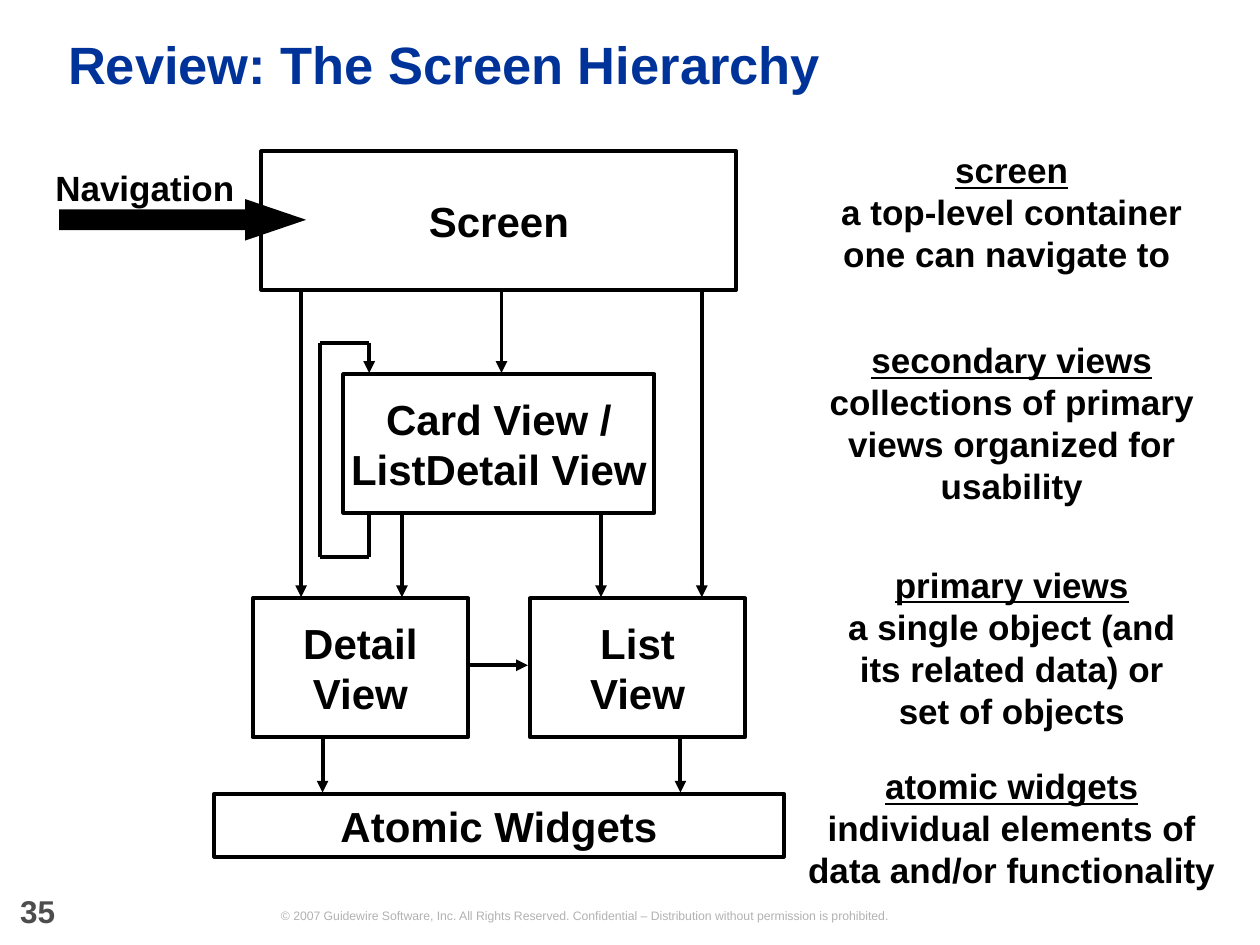
import itertools

import pptx
import pptx.dml.color
import pptx.enum.shapes
import pptx.enum.text
import pptx.oxml
import pptx.oxml.ns
import pptx.util

RGBColor = pptx.dml.color.RGBColor
Inches, Pt = pptx.util.Inches, pptx.util.Pt
ALIGN = pptx.enum.text.PP_ALIGN
ANCHOR = pptx.enum.text.MSO_ANCHOR
SHAPE = pptx.enum.shapes.MSO_SHAPE

BLACK = RGBColor(0x00, 0x00, 0x00)
NAVY = RGBColor(0x00, 0x33, 0x99)
SLATE = RGBColor(0x4D, 0x4D, 0x4D)
SILVER = RGBColor(0xB2, 0xB2, 0xB2)

# Content
TITLE = "Review: The Screen Hierarchy"
PAGE_NUMBER = "35"
COPYRIGHT = ("© 2007 Guidewire Software, Inc. All Rights Reserved. "
             "Confidential – Distribution without permission is prohibited.")
NAVIGATION = "Navigation"

# Rows of the hierarchy: top and height
ROWS = {"screen": (1.2, 1.1), "secondary": (2.97, 1.1),
        "primary": (4.75, 1.1), "atomic": (6.3, 0.5)}
BOX_AXIS, FLOW_AXIS, NOTE_AXIS = 3.96, 3.98, 8.03

# Label, row, offset from the box axis, width
BOXES = [
    ("Screen", "screen", 0, 3.77),
    ("Card View / ListDetail View", "secondary", 0, 2.47),
    ("Detail\nView", "primary", -1.1, 1.71),
    ("List\nView", "primary", 1.1, 1.71),
    ("Atomic Widgets", "atomic", 0, 4.52),
]
# Row from, row to, offsets from the flow axis
FLOWS = [
    ("screen", "secondary", (0,)),
    ("screen", "primary", (-1.59, 1.59)),
    ("secondary", "primary", (-0.79, 0.79)),
    ("primary", "atomic", (-1.42, 1.42)),
]
# Term, definition, top, width, height
NOTES = [
    ("screen", "a top-level container\none can navigate to ", 1.18, 3.36, 1),
    ("secondary views", "collections of primary views organized for usability",
     2.69, 3.19, 1.33),
    ("primary views", "a single object (and its related data) or set of objects",
     4.47, 2.79, 1.33),
    ("atomic widgets", "individual elements of data and/or functionality",
     6.07, 3.24, 1),
]

deck = pptx.Presentation()
deck.slide_width, deck.slide_height = Inches(10), Inches(7.5)
slide = deck.slides.add_slide(deck.slide_layouts[6])


def write(holder, text, size=24, color=BLACK, bold=True, align=ALIGN.CENTER,
          anchor=ANCHOR.TOP, spacing=None, term=None):
    frame = holder.text_frame
    frame.word_wrap = True
    frame.vertical_anchor = anchor
    frame.margin_left = frame.margin_right = 0
    frame.margin_top = frame.margin_bottom = 0
    paragraph = frame.paragraphs[0]
    paragraph.alignment = align
    if spacing:
        paragraph.line_spacing = spacing
    lines = ([term] if term else []) + text.split("\n")
    for index, line in enumerate(lines):
        if index:
            paragraph.add_line_break()
        run = paragraph.add_run()
        run.text = line
        font = run.font
        font.name, font.size, font.bold = "Arial", Pt(size), bold
        font.color.rgb = color
        if term and index == 0:
            font.underline = True


def text_box(left, top, width, height):
    return slide.shapes.add_textbox(
        Inches(left), Inches(top), Inches(width), Inches(height))


def block(kind, left, top, width, height):
    part = slide.shapes.add_shape(
        kind, Inches(left), Inches(top), Inches(width), Inches(height))
    part.shadow.inherit = False
    return part


def line(start, end, arrow=True):
    link = slide.shapes.add_connector(
        pptx.enum.shapes.MSO_CONNECTOR.STRAIGHT, *map(Inches, start + end))
    link.line.color.rgb = BLACK
    link.line.width = Pt(2.25)
    if arrow:
        head = pptx.oxml.parse_xml(
            f'<a:tailEnd {pptx.oxml.ns.nsdecls("a")} type="triangle"/>')
        link.line._get_or_add_ln().append(head)
    link._element.spPr.append(pptx.oxml.parse_xml(
        f'<a:effectLst {pptx.oxml.ns.nsdecls("a")}/>'))


# Footer and title
write(text_box(1.19, 7.21, 6.9, 0.12), COPYRIGHT, size=7, color=SILVER,
      bold=False, anchor=ANCHOR.MIDDLE)
write(text_box(0.16, 7.13, 0.57, 0.25), PAGE_NUMBER, size=18, color=SLATE,
      align=ALIGN.LEFT, spacing=Pt(18))
write(text_box(0.54, 0.13, 9.1, 0.81), TITLE, size=30, color=NAVY,
      align=ALIGN.LEFT, anchor=ANCHOR.MIDDLE, spacing=0.9)

# Hierarchy boxes
for label, row, offset, width in BOXES:
    top, height = ROWS[row]
    box = block(SHAPE.RECTANGLE, BOX_AXIS + offset - width / 2, top, width, height)
    box.fill.background()
    box.line.color.rgb = BLACK
    box.line.width = Pt(2.25)
    write(box, label, anchor=ANCHOR.MIDDLE)

# Arrows down between rows, and across the primary row
for upper, lower, offsets in FLOWS:
    for offset in offsets:
        x = FLOW_AXIS + offset
        line((x, sum(ROWS[upper])), (x, ROWS[lower][0] - 0.01))
line((3.72, 5.28), (4.19, 5.28))

# Loop from the secondary views back to themselves
secondary_top, secondary_height = ROWS["secondary"]
secondary_bottom = secondary_top + secondary_height
loop = [(2.93, secondary_bottom), (2.93, 4.42), (2.54, 4.42),
        (2.54, 2.72), (2.93, 2.72), (2.93, secondary_top - 0.01)]
for start, end in itertools.pairwise(loop):
    line(start, end, arrow=end == loop[-1])

# Definitions
for term, definition, top, width, height in NOTES:
    write(text_box(NOTE_AXIS - width / 2, top, width, height), definition,
          size=20, term=term)

# Navigation arrow
entry = block(SHAPE.RIGHT_ARROW, 0.47, 1.58, 1.96, 0.33)
entry.adjustments[0], entry.adjustments[1] = 0.5, 1.47
entry.fill.solid()
entry.fill.fore_color.rgb = BLACK
entry.line.fill.background()
write(text_box(0.36, 1.32, 1.58, 0.33), NAVIGATION, size=20)

deck.save("out.pptx")
